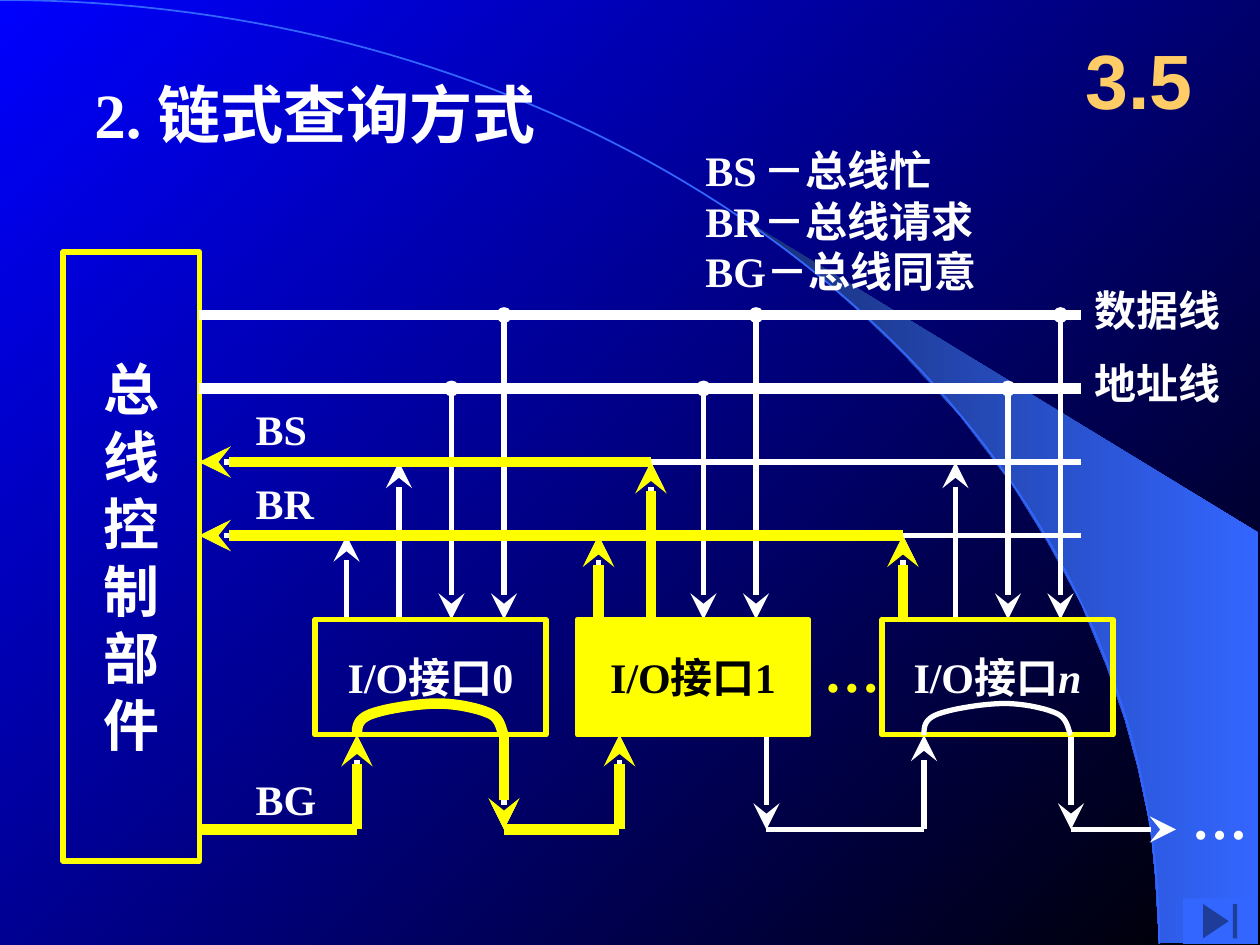
"""Bus arbitration slide: daisy-chain polling."""
from dataclasses import dataclass

from lxml import etree
from pptx import Presentation
from pptx.dml.color import RGBColor
from pptx.enum.shapes import MSO_CONNECTOR, MSO_SHAPE
from pptx.enum.text import MSO_ANCHOR, MSO_AUTO_SIZE, PP_ALIGN
from pptx.oxml.ns import qn
from pptx.util import Pt

STRAIGHT = MSO_CONNECTOR.STRAIGHT
RECT, END_BUTTON = MSO_SHAPE.RECTANGLE, MSO_SHAPE.ACTION_BUTTON_END
MIDDLE, TOP = MSO_ANCHOR.MIDDLE, MSO_ANCHOR.TOP
FIT, LEFT, CENTER = MSO_AUTO_SIZE.SHAPE_TO_FIT_TEXT, PP_ALIGN.LEFT, PP_ALIGN.CENTER


@dataclass(frozen=True)
class Theme:
    white: RGBColor = RGBColor(255, 255, 255)
    black: RGBColor = RGBColor(0, 0, 0)
    yellow: RGBColor = RGBColor(255, 255, 0)
    gold: RGBColor = RGBColor(255, 204, 102)
    blue: RGBColor = RGBColor(0, 0, 255)
    sky: RGBColor = RGBColor(51, 102, 255)
    navy: RGBColor = RGBColor(24, 47, 118)
    serif: str = "Times New Roman"
    sans: str = "Arial"
    section: int = 44
    title: int = 36
    large: int = 32
    body: int = 24
    gap: int = 16


T = Theme()
Point = tuple[float, float]


@dataclass(frozen=True)
class Pen:
    color: RGBColor
    width: float
    head: str


@dataclass(frozen=True)
class Label:
    text: str
    x: float
    y: float
    w: float
    h: float
    size: int = T.body
    color: RGBColor = T.white
    font: str = T.serif
    wrap: bool = False
    align: PP_ALIGN = LEFT
    anchor: MSO_ANCHOR = TOP


@dataclass(frozen=True)
class Interface:
    left: float
    tap: float
    number: str
    active: bool = False

    @property
    def grant_in(self) -> float:
        return self.left + 24

    @property
    def grant_out(self) -> float:
        return self.left + 108


THIN, WIDE = Pen(T.white, 3, "lg"), Pen(T.white, 6, "med")
HOT, FRAME = Pen(T.yellow, 6, "med"), Pen(T.yellow, 3, "med")
CURVE = Pen(T.sky, 1, "med")

BUS_L, BUS_R = 114, 618
DATA, ADDR, BS, BR = 180, 222, 264, 306
BOX_TOP, BOX_END, GRANT = 354, 420, 474
BOX_W, STEP = 132, 30
IO = [Interface(180, 198, "0"), Interface(330, 342, "1", True), Interface(504, 516, "n")]

LABELS = [
    Label("2. 链式查询方式", 46.8, 39.6, 347, 50.4, T.title, wrap=True),
    Label("BS", 139, 226.8, 44, 36),
    Label("BR", 139, 269.3, 47.5, 36),
    Label("BG", 139, 438.5, 49, 36),
    Label("数据线", 618.5, 159.1, 86.4, 36),
    Label("地址线", 618.5, 200.9, 86.4, 36),
    Label("…", 463.7, 360, 46, 46, T.large, T.yellow),
    Label("…", 673.9, 444.2, 46, 46, T.large),
    Label("3.5", 606, 12, 90, 66, T.section, T.gold, T.sans, True, CENTER, MIDDLE),
]
WEDGE = [(662.4, 538.6), (719.3, 539.3), (719.3, 304.6), (424.1, 124.6), (449.3, 143.3),
         (470.2, 159.8), (493.2, 180), (515.5, 201.6), (548.6, 237.6), (578.2, 276.5),
         (599, 310.3), (617.8, 344.9), (632.2, 380.2), (643, 411.8), (650.2, 438.5),
         (657.4, 472.3), (660.2, 501.1)]


def bezier(a: Point, b: Point, c: Point, d: Point, n: int = 12) -> list[Point]:
    """Sample a cubic curve, leaving out its first point."""
    weights = [((1 - t) ** 3, 3 * t * (1 - t) ** 2, 3 * t * t * (1 - t), t ** 3)
               for t in (i / n for i in range(1, n + 1))]
    return [tuple(sum(k * p[axis] for k, p in zip(w, (a, b, c, d))) for axis in (0, 1))
            for w in weights]


def gradient(fill, start: RGBColor, end: RGBColor, angle: float) -> None:
    """Fill with a two-colour linear gradient."""
    fill.gradient()
    fill.gradient_angle = angle
    for stop, color in zip(fill.gradient_stops, (start, end)):
        stop.color.rgb = color


def stroke(sp, pen: Pen, head: str = "", tail: str = "") -> None:
    """Set line colour, width and line ends."""
    sp.line.color.rgb = pen.color
    sp.line.width = Pt(pen.width)
    ln = sp.line._get_or_add_ln()
    for tag, kind in (("a:headEnd", head), ("a:tailEnd", tail)):
        if kind:
            size = "med" if kind == "oval" else pen.head
            etree.SubElement(ln, qn(tag), type=kind, w=size, len=size)


def line(s, a: Point, b: Point, pen: Pen, head: str = "", tail: str = "") -> None:
    """Draw a straight connector."""
    sp = s.shapes.add_connector(STRAIGHT, *(Pt(v) for v in (*a, *b)))
    stroke(sp, pen, head, tail)
    etree.SubElement(sp._element.spPr, qn("a:effectLst"))


def outline(s, points: list[Point], close: bool = False):
    """Build an unfilled freeform through the points."""
    emu = [(Pt(x), Pt(y)) for x, y in points]
    fb = s.shapes.build_freeform(*emu[0])
    fb.add_line_segments(emu[1:], close=close)
    sp = fb.convert_to_shape()
    sp.shadow.inherit = False
    sp.fill.background()
    return sp


def arch(s, x: float, pen: Pen) -> None:
    """Draw the grant bypass inside an interface."""
    knots = [(0, 0), (0, -4.5), (0, -9), (8, -12), (16, -15), (34.5, -18), (46, -18),
             (57.5, -18), (70.5, -15), (76.5, -12), (82.5, -9), (82.5, -1.5), (84, 0)]
    knots = [(x + dx, BOX_END + dy) for dx, dy in knots]
    points = knots[:1]
    for i in range(0, 12, 3):
        points += bezier(*knots[i:i + 4])
    stroke(outline(s, points), pen)


def write(p, text: str, **changes) -> None:
    """Add a formatted run."""
    r = p.add_run()
    r.text = text
    fmt = {"name": T.serif, "size": T.body, "bold": True, "italic": None} | changes
    color = fmt.pop("color", T.white)
    fmt["size"] = Pt(fmt["size"])
    for name, value in fmt.items():
        setattr(r.font, name, value)
    r.font.color.rgb = color


def text_box(s, x: float, y: float, w: float, h: float, **frame):
    """Add a text box and return its frame."""
    tf = s.shapes.add_textbox(Pt(x), Pt(y), Pt(w), Pt(h)).text_frame
    for name, value in frame.items():
        setattr(tf, name, value)
    return tf


def label(s, b: Label) -> None:
    """Draw a one-line label."""
    frame = {"word_wrap": b.wrap, "vertical_anchor": b.anchor}
    if b.anchor == TOP:
        frame["auto_size"] = FIT
    p = text_box(s, b.x, b.y, b.w, b.h, **frame).paragraphs[0]
    p.alignment = b.align
    write(p, b.text, name=b.font, size=b.size, color=b.color)


def box(s, x: float, y: float, w: float, h: float, filled: bool = False):
    """Draw a yellow-framed rectangle and return its text frame."""
    sp = s.shapes.add_shape(RECT, Pt(x), Pt(y), Pt(w), Pt(h))
    sp.shadow.inherit = False
    sp.fill.background()
    if filled:
        sp.fill.solid()
        sp.fill.fore_color.rgb = T.yellow
    stroke(sp, FRAME)
    tf = sp.text_frame
    tf.word_wrap, tf.vertical_anchor = False, MIDDLE
    return tf


def interface(s, io: Interface) -> None:
    """Draw an I/O interface box."""
    p = box(s, io.left, BOX_TOP, BOX_W, BOX_END - BOX_TOP, io.active).paragraphs[0]
    p.alignment = CENTER
    color = T.black if io.active else T.white
    write(p, "I/O接口", color=color)
    write(p, io.number, color=color, italic=io.number == "n" or None)


def taps(s, io: Interface) -> None:
    """Connect an interface to the four bus lines."""
    for i, y in enumerate((BR, BS)):
        x = io.tap + i * STEP
        line(s, (x, BOX_TOP), (x, y), THIN, tail="stealth")
    for i, y in enumerate((ADDR, DATA), 2):
        x = io.tap + i * STEP
        line(s, (x, y), (x, BOX_TOP), THIN, "oval", "stealth")


def grant(s, start: float, end: float, pen: Pen) -> None:
    """Draw a grant link rising into an interface."""
    line(s, (start, GRANT), (end, GRANT), pen)
    line(s, (end, GRANT), (end, BOX_END), pen, tail="stealth")


def backdrop(s) -> None:
    """Draw the background sweep and corner button."""
    gradient(s.background.fill, T.blue, T.black, 315)
    wedge = outline(s, WEDGE, True)
    gradient(wedge.fill, T.navy, T.sky, 0)
    wedge.line.fill.background()
    sweep = [(0, 0)] + bezier((0, 0), (365.8, 0), (662.4, 241.2), (662.4, 539.3), 80)
    stroke(outline(s, sweep), CURVE)
    sp = s.shapes.add_shape(END_BUTTON, Pt(676), Pt(513.4), Pt(42.5), Pt(26))
    sp.shadow.inherit = False
    sp.fill.solid()
    sp.fill.fore_color.rgb = T.sky
    sp.line.fill.background()


def legend(s) -> None:
    """Explain the three control signals."""
    tf = text_box(s, 396, 79.2, 214, 93.6, word_wrap=True, auto_size=FIT)
    for i, (code, meaning) in enumerate((("BS", "忙"), ("BR", "请求"), ("BG", "同意"))):
        p = tf.add_paragraph() if i else tf.paragraphs[0]
        write(p, code)
        if not i:
            write(p, " ", size=T.gap)
        write(p, "－总线" + meaning)


def main() -> None:
    """Build and save the slide."""
    prs = Presentation()
    prs.slide_width, prs.slide_height = Pt(720), Pt(540)
    s = prs.slides.add_slide(prs.slide_layouts[6])
    backdrop(s)
    tf = box(s, 36, 144, 78, 348)
    for i, char in enumerate("总线控制部件"):
        p = tf.add_paragraph() if i else tf.paragraphs[0]
        p.alignment = CENTER
        write(p, char, size=T.large)
    for y, pen, head in ((DATA, WIDE, ""), (ADDR, WIDE, ""),
                         (BS, THIN, "stealth"), (BR, THIN, "stealth")):
        line(s, (BUS_L, y), (BUS_R, y), pen, head)
    for io in IO:
        taps(s, io)
        line(s, (io.grant_out, BOX_END), (io.grant_out, GRANT), THIN, tail="stealth")
    first, active, last = IO
    starts = (BUS_L, first.grant_out, active.grant_out)
    for start, io in zip(starts, IO):
        grant(s, start, io.grant_in, THIN)
    line(s, (last.grant_out, GRANT), (672, GRANT), THIN, tail="stealth")
    for io in IO:
        interface(s, io)
    arch(s, last.grant_in, THIN)
    line(s, (active.tap + STEP, BS), (BUS_L, BS), HOT, tail="stealth")
    line(s, (last.tap, BR), (BUS_L, BR), HOT, tail="stealth")
    for x, y in ((active.tap, BR), (last.tap, BR), (active.tap + STEP, BS)):
        line(s, (x, BOX_TOP), (x, y), HOT, tail="stealth")
    for start, io in zip(starts, (first, active)):
        grant(s, start, io.grant_in, HOT)
    arch(s, first.grant_in, HOT)
    line(s, (first.grant_out, BOX_END), (first.grant_out, GRANT), HOT, tail="stealth")
    legend(s)
    for b in LABELS:
        label(s, b)
    prs.save("out.pptx")


if __name__ == "__main__":
    main()
